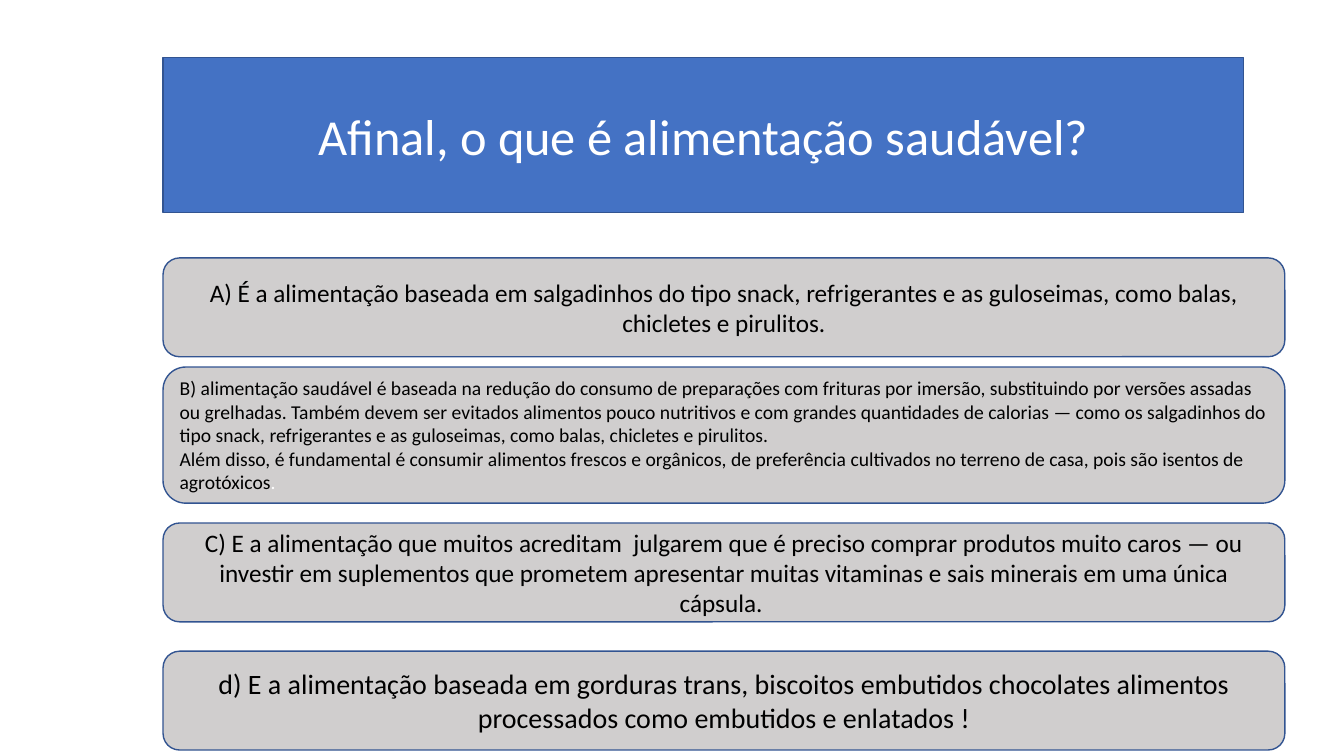
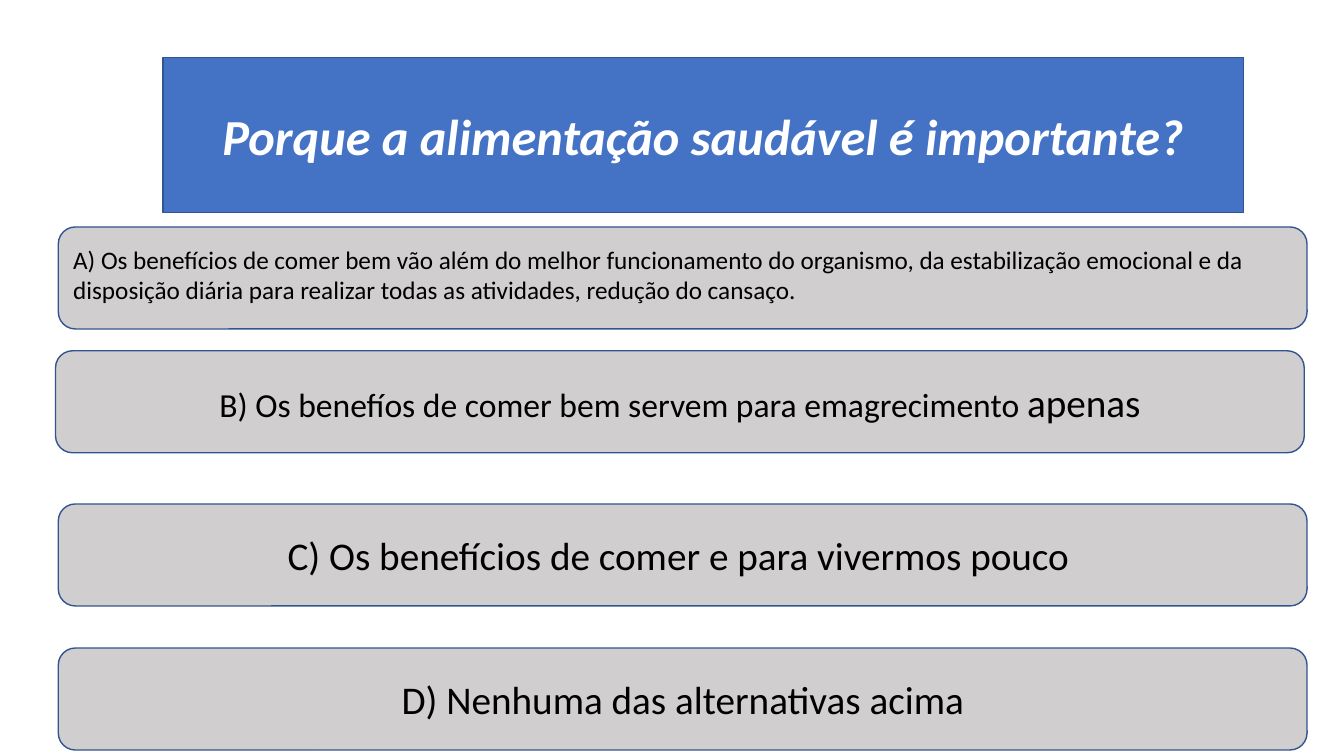
from dataclasses import dataclass

import pptx
import pptx.dml.color
import pptx.enum.shapes
import pptx.enum.text
import pptx.oxml
import pptx.oxml.ns
import pptx.util

Cm = pptx.util.Cm
Pt = pptx.util.Pt
RGBColor = pptx.dml.color.RGBColor
Align = pptx.enum.text.PP_ALIGN

# Shared look
BLUE = RGBColor(0x44, 0x72, 0xC4)
OUTLINE = RGBColor(0x32, 0x54, 0x91)
GREY = RGBColor(0xD0, 0xCE, 0xCE)
BLACK = RGBColor(0, 0, 0)
WHITE = RGBColor(0xFF, 0xFF, 0xFF)
FONT = "Calibri"
TITLE_ONLY = 5


@dataclass(frozen=True)
class Span:
    text: str
    size: int
    color: RGBColor = BLACK


@dataclass(frozen=True)
class Answer:
    top: float
    paragraphs: tuple[tuple[Span, ...], ...]
    align: Align = Align.CENTER
    height: float | None = None  # None takes the height shared by the slide
    shift: float = 0  # sideways, from the left edge shared by the slide
    bottom_inset: float = 0.13


@dataclass(frozen=True)
class Question:
    title: str
    left: float
    width: float
    height: float
    answers: tuple[Answer, ...]
    emphasis: bool = False


QUESTIONS = (
    Question(
        "Afinal, o que é alimentação saudável?",
        left=4.11, width=28.27, height=2.49,
        answers=(
            Answer(6.5, ((Span(
                "A) É a alimentação baseada em salgadinhos do tipo snack, refrigerantes e as "
                "guloseimas, como balas, chicletes e pirulitos.", 18),),)),
            Answer(9.25, (
                (Span(
                    "B) alimentação saudável é baseada na redução do consumo de preparações com "
                    "frituras por imersão, substituindo por versões assadas ou grelhadas. Também "
                    "devem ser evitados alimentos pouco nutritivos e com grandes quantidades de "
                    "calorias — como os salgadinhos do tipo snack, refrigerantes e as guloseimas, "
                    "como balas, chicletes e pirulitos.", 14),),
                (Span(
                    "Além disso, é fundamental é consumir alimentos frescos e orgânicos, de "
                    "preferência cultivados no terreno de casa, pois são isentos de agrotóxicos",
                    14), Span(".", 14, WHITE)),
            ), align=Align.LEFT, height=3.43),
            Answer(13.18, ((Span(
                "C) E a alimentação que muitos acreditam  julgarem que é preciso comprar produtos "
                "muito caros — ou investir em suplementos que prometem apresentar muitas vitaminas "
                "e sais minerais em uma única cápsula. ", 18),),)),
            Answer(16.41, ((Span(
                "d) E a alimentação baseada em gorduras trans, biscoitos embutidos chocolates "
                "alimentos processados como embutidos e enlatados !", 20),),)),
        ),
    ),
    Question(
        "Porque a alimentação saudável é importante?",
        left=1.47, width=31.47, height=2.57, emphasis=True,
        answers=(
            Answer(5.72, ((Span(
                "A) Os benefícios de comer bem vão além do melhor funcionamento do organismo, da "
                "estabilização emocional e da disposição diária para realizar todas as atividades, "
                "redução do cansaço.", 18),),), align=Align.LEFT, bottom_inset=0.3),
            Answer(8.84, ((
                Span("B) Os benefíos de comer bem servem para emagrecimento ", 24),
                Span("apenas", 28)),), shift=-0.07),
            Answer(12.7, ((Span("C) Os benefícios de comer e para vivermos pouco ", 28),),)),
            Answer(16.33, ((Span("D) Nenhuma das alternativas acima", 28),),)),
        ),
    ),
)


def add_text(para, text: str, *, size: int, color: RGBColor,
             bold: bool = False, italic: bool = False) -> None:
    run = para.add_run()
    run.text = text
    font = run.font
    font.name, font.size = FONT, Pt(size)
    font.bold, font.italic = bold, italic
    font.color.rgb = color


def style_box(box, fill: RGBColor) -> None:
    """Fill, outline and text frame settings common to titles and answers."""
    box.fill.solid()
    box.fill.fore_color.rgb = fill
    box.line.color.rgb = OUTLINE
    box.line.width = Pt(1)
    frame = box.text_frame
    frame.word_wrap = True
    frame.auto_size = pptx.enum.text.MSO_AUTO_SIZE.NONE
    frame.vertical_anchor = pptx.enum.text.MSO_ANCHOR.MIDDLE


def add_title(page, question: Question) -> None:
    title = page.shapes.title
    title.left, title.top = Cm(4.11), Cm(1.45)
    title.width, title.height = Cm(27.23), Cm(3.91)
    # Rounded outline for the placeholder
    title.element.spPr.append(pptx.oxml.parse_xml(
        f'<a:prstGeom {pptx.oxml.ns.nsdecls("a")} prst="roundRect"><a:avLst/></a:prstGeom>'))
    style_box(title, BLUE)
    para = title.text_frame.paragraphs[0]
    para.alignment = Align.CENTER
    add_text(para, question.title, size=36, color=WHITE,
             bold=question.emphasis, italic=question.emphasis)


def add_answer(page, question: Question, answer: Answer) -> None:
    box = page.shapes.add_shape(
        pptx.enum.shapes.MSO_SHAPE.ROUNDED_RECTANGLE,
        Cm(question.left + answer.shift), Cm(answer.top),
        Cm(question.width), Cm(answer.height or question.height))
    box.shadow.inherit = False
    style_box(box, GREY)
    frame = box.text_frame
    frame.margin_bottom = Cm(answer.bottom_inset)
    for index, spans in enumerate(answer.paragraphs):
        para = frame.add_paragraph() if index else frame.paragraphs[0]
        para.alignment = answer.align
        for span in spans:
            add_text(para, span.text, size=span.size, color=span.color)


def main() -> None:
    deck = pptx.Presentation()
    deck.slide_width, deck.slide_height = Cm(33.87), Cm(19.05)
    for question in QUESTIONS:
        page = deck.slides.add_slide(deck.slide_layouts[TITLE_ONLY])
        add_title(page, question)
        for answer in question.answers:
            add_answer(page, question, answer)
    deck.save("out.pptx")


if __name__ == "__main__":
    main()
